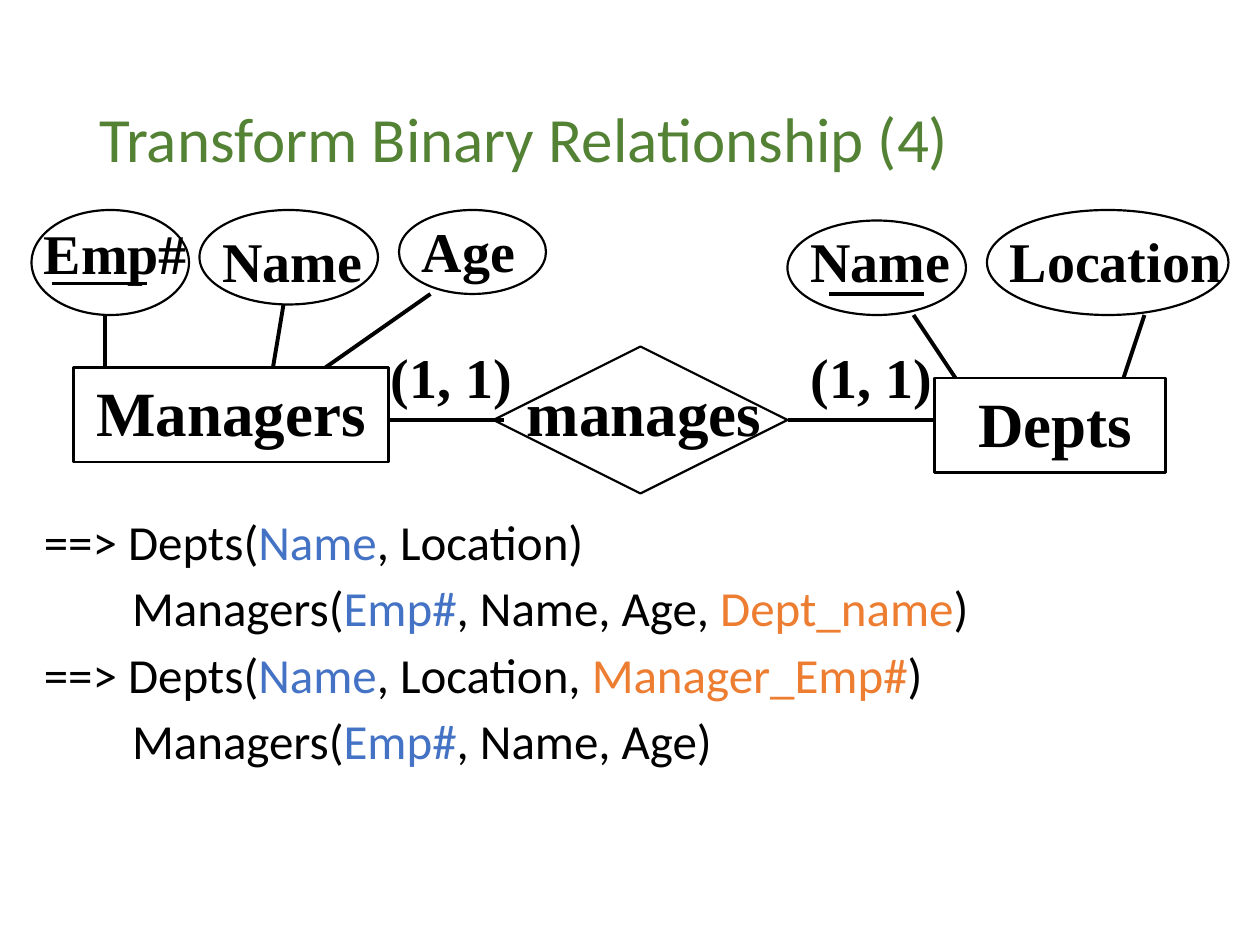
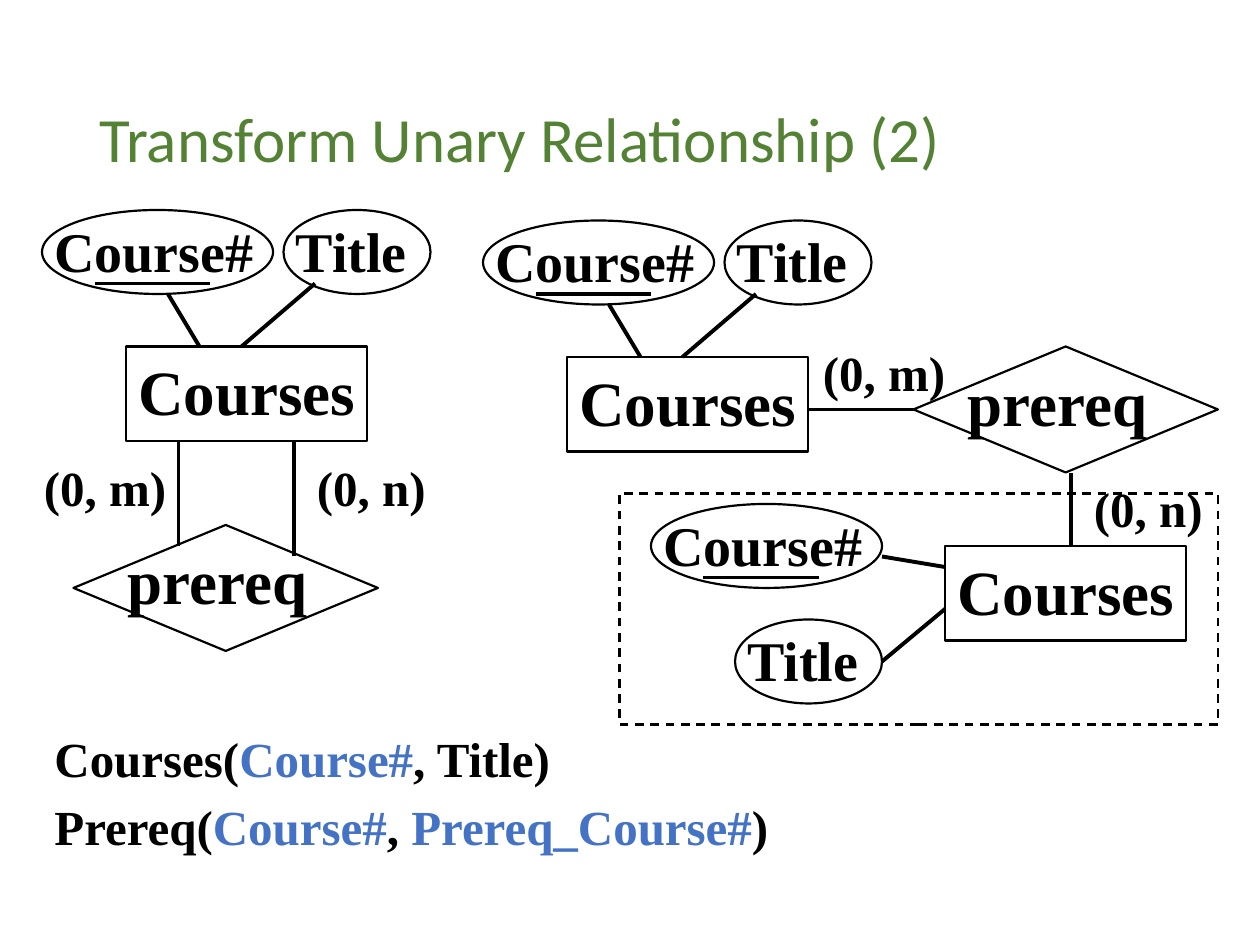
from lxml import etree
from pptx import Presentation
from pptx.dml.color import RGBColor
from pptx.enum.dml import MSO_LINE_DASH_STYLE as DASH
from pptx.enum.shapes import MSO_CONNECTOR, MSO_SHAPE as SHAPE
from pptx.enum.text import MSO_ANCHOR, MSO_AUTO_SIZE, PP_ALIGN
from pptx.oxml.ns import qn
from pptx.util import Inches, Pt

BLACK = RGBColor(0x00, 0x00, 0x00)
GREEN = RGBColor(0x54, 0x82, 0x35)
BLUE = RGBColor(0x44, 0x72, 0xC4)
ORANGE = RGBColor(0xED, 0x7D, 0x31)
SANS, SERIF = "Calibri", "Times New Roman"
CELLS_PER_INCH = 12  # all diagram positions are cells of this grid

# Kind: preset shape, label size
ENTITY = (SHAPE.RECTANGLE, 36)
RELATION = (SHAPE.DIAMOND, 36)
ATTRIBUTE = (SHAPE.OVAL, 32)

LABEL_WIDTH = {  # inches
    "manages": 2.06, "Managers": 2.34, "Depts": 1.42, "Emp#": 1.36,
    "Name": 1.31, "Age": 0.94, "Location": 1.88, "(1, 1)": 1.18,
    "prereq": 1.64, "Courses": 1.92, "Course#": 1.78, "Title": 1.09,
    "(0, m)": 1.17, "(0, n)": 1.06,
}
LABEL_HEIGHT = {36: 0.7, 32: 0.64, 28: 0.57}


# Recurring nodes of the course diagrams: kind, label, place, size,
# label offset, and start and length of the key underline
def courses(x, y):
    return ENTITY, "Courses", (x, y), (23, 9), (0, 0), None


def prereq(x, y):
    return RELATION, "prereq", (x, y), (29, 12), (4, 1), None


def course_key(x, y):
    return ATTRIBUTE, "Course#", (x, y), (22, 8), (0, 0), (5, 11)


def title_attr(x, y):
    return ATTRIBUTE, "Title", (x, y), (14, 8), (0, 0), None


SLIDES = [
    dict(
        title="Transform Binary Relationship (4)",
        nodes=[
            (RELATION, "manages", (47, 33), (28, 14), (2, 2), None),
            (ENTITY, "Managers", (7, 35), (30, 9), (1, 0), None),
            (ATTRIBUTE, "Emp#", (3, 20), (15, 10), (0, 0.25), (2, 9)),
            (ATTRIBUTE, "Name", (19, 20), (17, 9), (1, 1), None),
            (ATTRIBUTE, "Age", (38, 20), (14, 8), (1, 0), None),
            (ENTITY, "Depts", (89, 36), (22, 9), (3, 0), None),
            (ATTRIBUTE, "Name", (75, 21), (17, 9), (1, 0), (4, 9)),
            (ATTRIBUTE, "Location", (94, 20), (23, 10), (1, 1), None),
        ],
        links=[
            (10, 35, 10, 30), (26, 35, 27, 29), (41, 28, 31, 35),
            (91, 36, 87, 30), (109, 30, 107, 36),
            (37, 40, 48, 40), (75, 40, 89, 40),
        ],
        cardinalities=[("(1, 1)", 32, (36, 32)), ("(1, 1)", 32, (76, 32))],
        schema=dict(
            box=(3, 48.8, 114, 37), font=SANS, bold=False, spacing=0.9, before=7.5,
            lines=[  # left indent in inches, coloured parts
                (0, [("==> Depts(", BLACK), ("Name", BLUE), (", Location)", BLACK)]),
                (0.7, [("Managers(", BLACK), ("Emp#", BLUE), (", Name, Age, ", BLACK),
                       ("Dept_name", ORANGE), (")", BLACK)]),
                (0, [("==> Depts(", BLACK), ("Name", BLUE), (", Location, ", BLACK),
                     ("Manager_Emp#", ORANGE), (")", BLACK)]),
                (0.7, [("Managers(", BLACK), ("Emp#", BLUE), (", Name, Age)", BLACK)]),
            ],
        ),
    ),
    dict(
        title="Transform Unary Relationship (2)",
        nodes=[
            prereq(7, 50), courses(12, 33), title_attr(27, 20), course_key(4, 20),
            courses(54, 34), title_attr(69, 21), course_key(46, 21),
            prereq(87, 33),
            courses(90, 52), title_attr(70, 59), course_key(62, 48),
        ],
        links=[
            (30, 27, 23, 33), (16, 28, 19, 33), (17, 52, 17, 42), (28, 53, 28, 42),
            (72, 28, 65, 34), (58, 29, 61, 34), (87, 39, 77, 39),
            (102, 52, 102, 45), (90, 58, 84, 63), (84, 53, 90, 54),
        ],
        cardinalities=[
            ("(0, m)", 28, (3, 43)), ("(0, n)", 28, (29, 43)),
            ("(0, m)", 28, (77.2, 32)), ("(0, n)", 28, (103, 45)),
        ],
        copy_frame=(59, 47, 57, 22),
        schema=dict(
            box=(4, 68.8, 112, 18), font=SERIF, bold=True, spacing=1.0, before=5,
            lines=[
                (0, [("Courses(", BLACK), ("Course#", BLUE), (", Title)", BLACK)]),
                (0, [("Prereq(", BLACK), ("Course#", BLUE), (", ", BLACK),
                     ("Prereq_Course#", BLUE), (")", BLACK)]),
            ],
        ),
    ),
]


def cells(*values):
    return [Inches(v / CELLS_PER_INCH) for v in values]


def style(run, size, font, color, bold=False):
    f = run.font
    f.size, f.name, f.bold = Pt(size), font, bold
    f.color.rgb = color


def add_title(s, text):
    sp = s.shapes.title
    sp.left, sp.top = Inches(0.69), Inches(0.4)
    sp.width, sp.height = Inches(8.63), Inches(1.45)
    tf = sp.text_frame
    tf.text = text
    tf.auto_size = MSO_AUTO_SIZE.NONE
    tf.vertical_anchor = MSO_ANCHOR.MIDDLE
    p = tf.paragraphs[0]
    p.alignment, p.line_spacing = PP_ALIGN.LEFT, 0.9
    style(p.runs[0], 36, SANS, GREEN)


def add_outline(s, preset, box, dash=None):
    sp = s.shapes.add_shape(preset, *cells(*box))
    sp.shadow.inherit = False
    sp.fill.background()
    sp.line.color.rgb = BLACK
    sp.line.width = Pt(1.25)
    if dash:
        sp.line.dash_style = dash


def add_line(s, *ends):
    line = s.shapes.add_connector(MSO_CONNECTOR.STRAIGHT, *cells(*ends))
    line.line.color.rgb = BLACK
    line.line.width = Pt(2.25)
    etree.SubElement(line._element.spPr, qn("a:effectLst"))


def add_label(s, text, size, place):
    sp = s.shapes.add_textbox(*cells(*place), Inches(LABEL_WIDTH[text]),
                              Inches(LABEL_HEIGHT[size]))
    tf = sp.text_frame
    tf.word_wrap = False
    tf.auto_size = MSO_AUTO_SIZE.SHAPE_TO_FIT_TEXT
    tf.text = text
    style(tf.paragraphs[0].runs[0], size, SERIF, BLACK, bold=True)


def add_node(s, kind, label, place, size, offset, key):
    (preset, points), (x, y) = kind, place
    add_outline(s, preset, (*place, *size))
    add_label(s, label, points, (x + offset[0], y + offset[1]))
    if key:
        start, length = key
        add_line(s, x + start, y + 7, x + start + length, y + 7)


def add_schema(s, box, font, bold, spacing, before, lines):
    tf = s.shapes.add_textbox(*cells(*box)).text_frame
    tf.word_wrap = True
    for i, (indent, parts) in enumerate(lines):
        p = tf.add_paragraph() if i else tf.paragraphs[0]
        p._p.get_or_add_pPr().set("marL", str(Inches(indent)))
        p.line_spacing = spacing
        p.space_before = Pt(before if i else 0)
        for text, color in parts:
            r = p.add_run()
            r.text = text
            style(r, 28, font, color, bold)


def main():
    prs = Presentation()
    prs.slide_width, prs.slide_height = Inches(10), Inches(7.5)
    for content in SLIDES:
        s = prs.slides.add_slide(prs.slide_layouts[5])
        add_title(s, content["title"])
        add_schema(s, **content["schema"])
        if "copy_frame" in content:
            add_outline(s, SHAPE.RECTANGLE, content["copy_frame"], DASH.DASH)
        for node in content["nodes"]:
            add_node(s, *node)
        for link in content["links"]:
            add_line(s, *link)
        for cardinality in content["cardinalities"]:
            add_label(s, *cardinality)
    prs.save("out.pptx")


if __name__ == "__main__":
    main()
